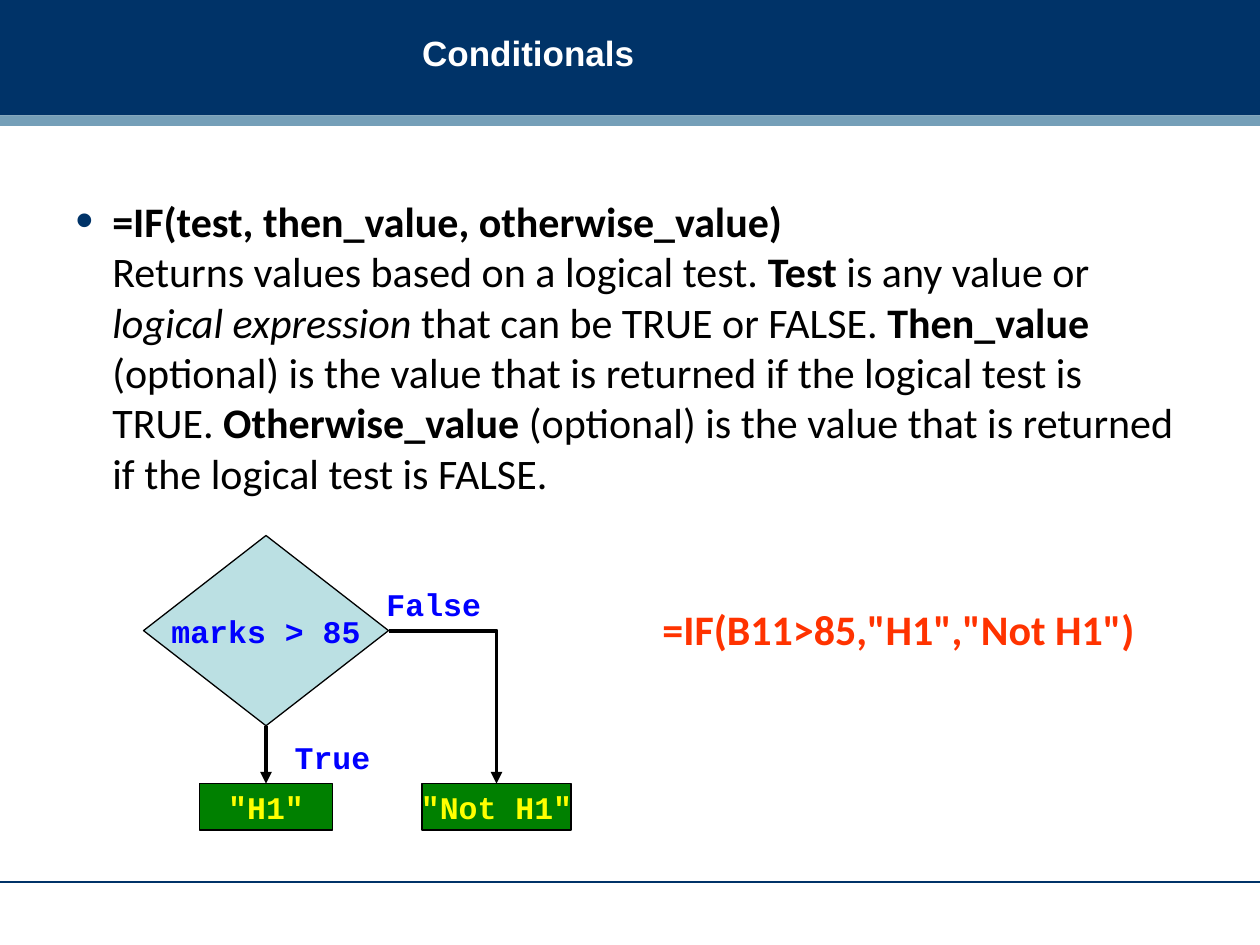
from dataclasses import dataclass

from lxml.etree import SubElement
from pptx import Presentation
from pptx.dml.color import RGBColor
from pptx.enum.shapes import MSO_CONNECTOR, MSO_SHAPE
from pptx.enum.text import MSO_ANCHOR, MSO_AUTO_SIZE, PP_ALIGN
from pptx.oxml.ns import qn
from pptx.util import Pt


@dataclass(frozen=True)
class Theme:
    navy: str = "003368"
    stripe: str = "759FB8"
    white: str = "FFFFFF"
    black: str = "000000"
    decision: str = "BBE0E3"
    result: str = "008000"
    condition: str = "0000FF"
    value: str = "FFFF00"
    formula: str = "FF3300"
    title_font: str = "Arial"
    body_font: str = "Calibri"
    code_font: str = "Courier New"
    title_size: int = 20
    body_size: int = 24
    code_size: int = 18


THEME = Theme()

DEFINITION = [
    ("Returns values based on a logical test. ", ""),
    ("Test", "bold"),
    (" is any value or ", ""),
    ("logical expression", "italic"),
    (" that can be TRUE or FALSE. ", ""),
    ("Then_value ", "bold"),
    ("(optional) is the value that is returned if the logical test is TRUE. ", ""),
    ("Otherwise_value", "bold"),
    (" (optional) is the value that is returned if the logical test is FALSE.", ""),
]


def place(shape, left, top, width, height):
    shape.left, shape.top = Pt(left), Pt(top)
    shape.width, shape.height = Pt(width), Pt(height)


def set_font(font, name, size, color, bold=None):
    font.name, font.size, font.bold = name, Pt(size), bold
    font.color.rgb = RGBColor.from_string(color)


def add_block(slide, kind, box, fill, line=None):
    shape = slide.shapes.add_shape(kind, *map(Pt, box))
    shape.shadow.inherit = False
    shape.fill.solid()
    shape.fill.fore_color.rgb = RGBColor.from_string(fill)
    if line:
        shape.line.color.rgb = RGBColor.from_string(line)
        shape.line.width = Pt(0.75)
    else:
        shape.line.fill.background()
    return shape


def add_node(slide, kind, box, fill, text, color):
    node = add_block(slide, kind, box, fill, THEME.black)
    frame = node.text_frame
    frame.word_wrap = False
    frame.vertical_anchor = MSO_ANCHOR.MIDDLE
    paragraph = frame.paragraphs[0]
    paragraph.text = text
    paragraph.alignment = PP_ALIGN.CENTER
    set_font(paragraph.font, THEME.code_font, THEME.code_size, color, True)
    return node


def add_label(slide, box, text, font, size, color):
    frame = slide.shapes.add_textbox(*map(Pt, box)).text_frame
    frame.word_wrap = True
    frame.auto_size = MSO_AUTO_SIZE.SHAPE_TO_FIT_TEXT
    paragraph = frame.paragraphs[0]
    paragraph.text = text
    set_font(paragraph.font, font, size, color, True)


def add_line(slide, kind, start, end, color, width):
    connector = slide.shapes.add_connector(kind, *map(Pt, (*start, *end)))
    connector.line.color.rgb = RGBColor.from_string(color)
    connector.line.width = Pt(width)
    SubElement(connector._element.spPr, qn("a:effectLst"))
    return connector


def add_arrow(slide, kind, source, source_site, target):
    arrow = add_line(slide, kind, (0, 0), (0, 0), THEME.black, 2.25)
    arrow.begin_connect(source, source_site)
    arrow.end_connect(target, 0)
    SubElement(arrow.line._get_or_add_ln(), qn("a:tailEnd"), type="triangle")
    return arrow


def add_background(slide):
    parts = [
        add_block(slide, MSO_SHAPE.RECTANGLE, (0, 0, 720, 66), THEME.navy),
        add_line(slide, MSO_CONNECTOR.STRAIGHT, (0, 504), (720, 504), THEME.navy, 0.75),
        add_block(slide, MSO_SHAPE.RECTANGLE, (0, 66, 720, 6), THEME.stripe),
    ]
    for part in parts:
        slide.shapes.title._element.addprevious(part._element)


def fill_title(slide):
    title = slide.shapes.title
    place(title, 234, 0, 474, 60)
    title.text_frame.vertical_anchor = MSO_ANCHOR.MIDDLE
    paragraph = title.text_frame.paragraphs[0]
    paragraph.text = "Conditionals"
    paragraph.alignment = PP_ALIGN.LEFT
    set_font(paragraph.font, THEME.title_font, THEME.title_size, THEME.white, True)


def fill_body(slide):
    body = slide.placeholders[1]
    place(body, 36, 108, 648, 356)
    body.text_frame.auto_size = MSO_AUTO_SIZE.NONE
    paragraph = body.text_frame.paragraphs[0]
    paragraph.space_before = Pt(0)
    properties = paragraph._p.get_or_add_pPr()
    properties.set("marL", str(Pt(21)))
    properties.set("indent", str(Pt(-21)))
    bullet_color = SubElement(properties, qn("a:buClr"))
    SubElement(bullet_color, qn("a:srgbClr"), val=THEME.navy)
    SubElement(properties, qn("a:buSzPct"), val="120000")
    SubElement(properties, qn("a:buChar"), char="•")
    set_font(paragraph.font, THEME.body_font, THEME.body_size, THEME.black)
    heading = paragraph.add_run()
    heading.text = "=IF(test, then_value, otherwise_value)"
    heading.font.bold = True
    paragraph.add_line_break()
    for text, style in DEFINITION:
        run = paragraph.add_run()
        run.text = text
        if style:
            setattr(run.font, style, True)


def add_flowchart(slide):
    test = add_node(slide, MSO_SHAPE.FLOWCHART_DECISION, (82, 306, 140, 108.7),
                    THEME.decision, "marks > 85", THEME.condition)
    results = [
        add_node(slide, MSO_SHAPE.FLOWCHART_PROCESS, (center - width / 2, 447.8, width, 26.6),
                 THEME.result, text, THEME.value)
        for center, width, text in ((152, 76, '"H1"'), (283.7, 85, '"Not H1"'))
    ]
    add_arrow(slide, MSO_CONNECTOR.STRAIGHT, test, 2, results[0])
    elbow = add_arrow(slide, MSO_CONNECTOR.ELBOW, test, 3, results[1])
    elbow._element.spPr.find(qn("a:prstGeom")).set("prst", "bentConnector2")
    for text, box in (("True", (161.3, 418.3, 105, 29)), ("False", (213.8, 330.5, 147, 29))):
        add_label(slide, box, text, THEME.code_font, THEME.code_size, THEME.condition)


def main():
    presentation = Presentation()
    presentation.slide_width, presentation.slide_height = Pt(720), Pt(540)
    slide = presentation.slides.add_slide(presentation.slide_layouts[1])
    add_background(slide)
    fill_title(slide)
    fill_body(slide)
    add_flowchart(slide)
    add_label(slide, (371.5, 341.3, 335, 36), '=IF(B11>85,"H1","Not H1")',
              THEME.body_font, THEME.body_size, THEME.formula)
    presentation.save("out.pptx")


if __name__ == "__main__":
    main()
